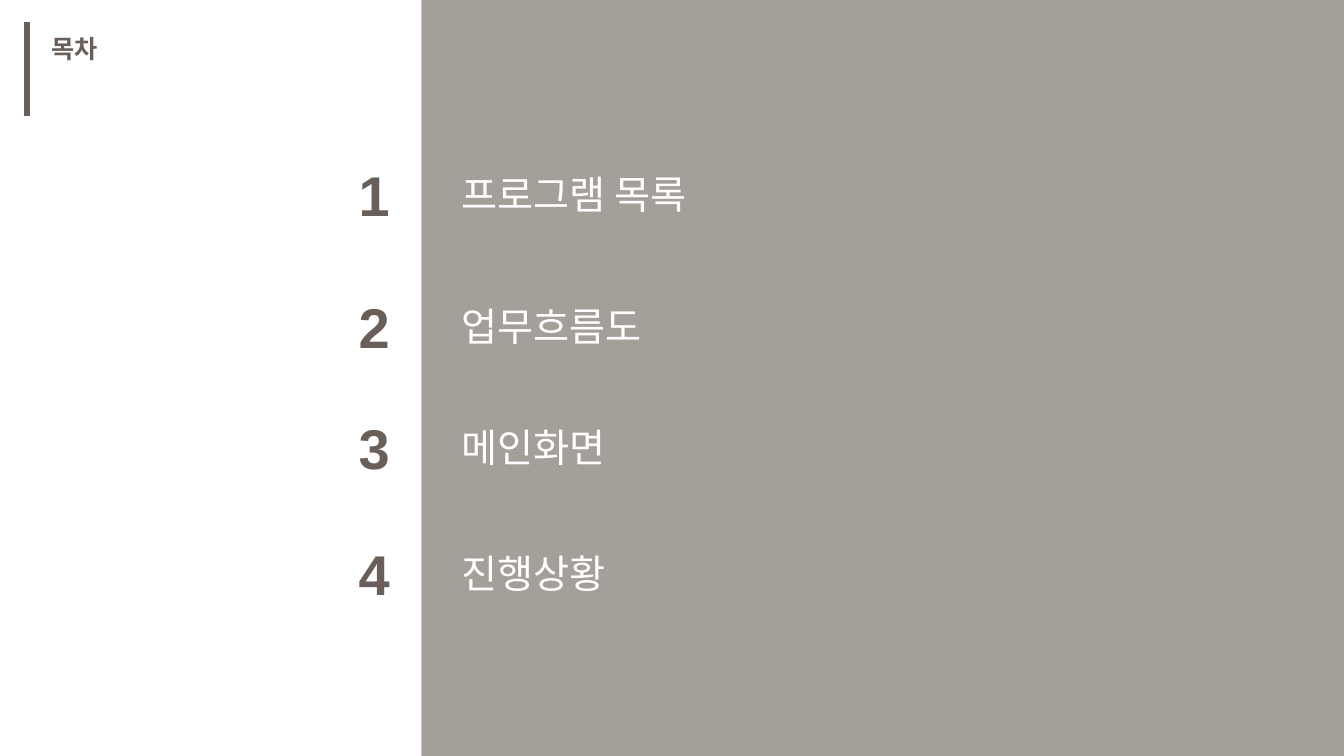
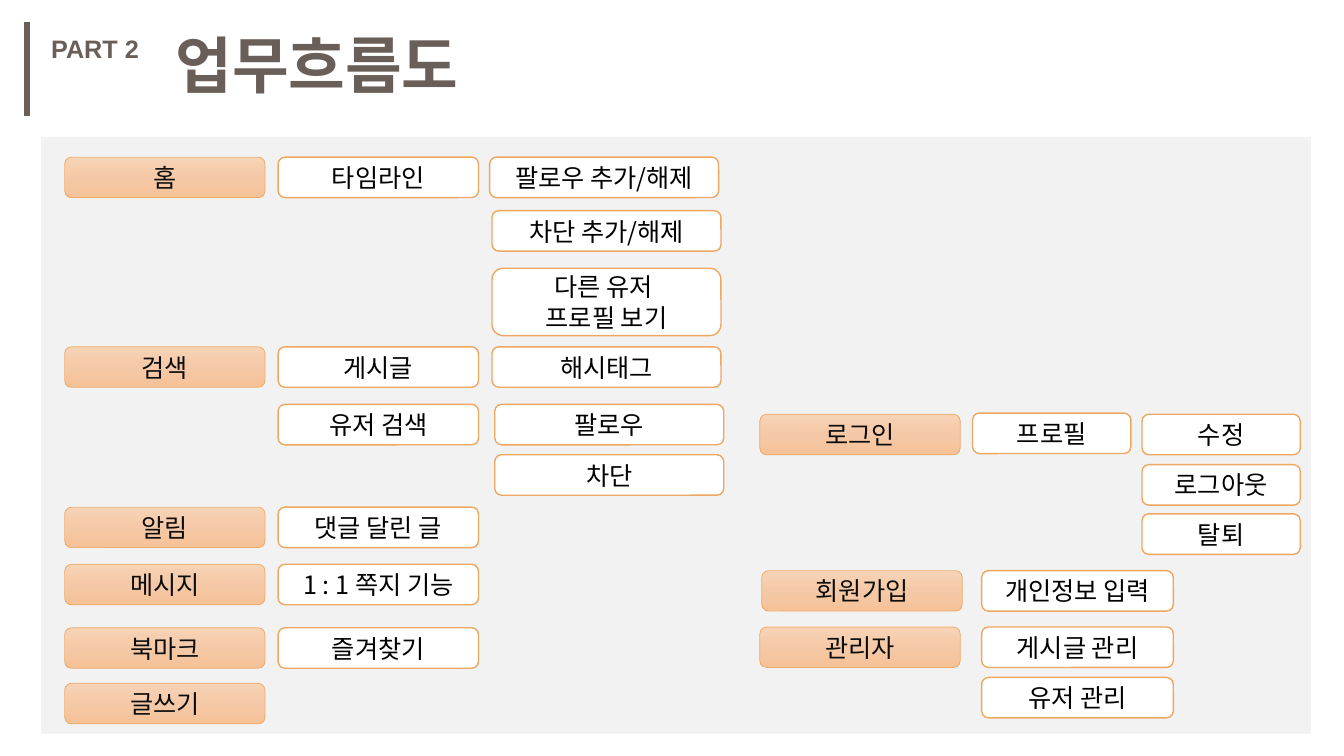
from copy import deepcopy
from dataclasses import dataclass

from lxml.etree import SubElement
from pptx import Presentation
from pptx.dml.color import RGBColor
from pptx.enum.shapes import MSO_CONNECTOR as Connector, MSO_SHAPE as Preset
from pptx.enum.text import MSO_ANCHOR as Anchor, MSO_AUTO_SIZE as AutoSize, PP_ALIGN as Align
from pptx.oxml.ns import qn
from pptx.util import Cm, Pt

COLORS = {
    "brown": "6A5F58", "white": "FFFFFF", "panel": "F2F2F2", "orange": "EDA762",
    "black": "000000", "ink": "0D0D0D",
}
START_GRADIENT = ((0, "F7D3B6"), (0.5, "F5C9A7"), (1, "F6C297"))
LATIN, KOREAN = "Arial", "Noto Sans CJK KR"
PAGE_WIDTH, PAGE_HEIGHT = 33.87, 19.05
NODE_HEIGHT = 1.02


@dataclass(frozen=True)
class Style:
    size: int
    color: str
    font: str = KOREAN
    bold: bool = False


@dataclass(frozen=True)
class Place:
    left: float
    top: float
    width: float
    height: float

    def lengths(self) -> tuple:
        return Cm(self.left), Cm(self.top), Cm(self.width), Cm(self.height)


@dataclass(frozen=True)
class Entry:
    top: float
    text: str


@dataclass(frozen=True)
class Column:
    left: float
    width: float
    nodes: tuple[Entry, ...]
    is_start: bool = False


TAG = Style(18, "brown", bold=True)
LATIN_TAG = Style(18, "brown", LATIN, True)
TITLE = Style(44, "brown", bold=True)
NUMBER = Style(40, "brown", LATIN, True)
CONTENT = Style(28, "white")
START_TEXT = Style(18, "ink")
NODE_TEXT = Style(18, "black")

CONTENTS = (
    Entry(3.91, "프로그램 목록"), Entry(7.24, "업무흐름도"),
    Entry(10.29, "메인화면"), Entry(13.46, "진행상황"),
)

FLOW = (
    Column(1.63, 5.05, (
        Entry(3.96, "홈"), Entry(8.74, "검색"), Entry(12.78, "알림"),
        Entry(14.22, "메시지"), Entry(15.82, "북마크"), Entry(17.22, "글쓰기"),
    ), True),
    Column(7.01, 5.05, (
        Entry(3.96, "타임라인"), Entry(8.74, "게시글"), Entry(10.19, "유저 검색"),
        Entry(12.78, "댓글 달린 글"), Entry(14.22, "1 : 1 쪽지 기능"), Entry(15.82, "즐겨찾기"),
    )),
    Column(12.34, 5.77, (Entry(3.96, "팔로우 추가/해제"),)),
    Column(12.4, 5.77, (
        Entry(5.31, "차단 추가/해제"), Entry(6.76, "다른 유저 \n프로필 보기"),
        Entry(8.74, "해시태그"),
    )),
    Column(12.47, 5.77, (Entry(10.19, "팔로우"), Entry(11.46, "차단"))),
    Column(19.15, 5.05, (Entry(10.44, "로그인"), Entry(15.8, "관리자")), True),
    Column(19.2, 5.05, (Entry(14.38, "회원가입"),), True),
    Column(24.51, 3.99, (Entry(10.41, "프로필"),)),
    Column(28.78, 3.99, (
        Entry(10.44, "수정"), Entry(11.71, "로그아웃"), Entry(12.95, "탈퇴"),
    )),
    Column(24.74, 4.83, (
        Entry(14.38, "개인정보 입력"), Entry(15.8, "게시글 관리"), Entry(17.07, "유저 관리"),
    )),
)


def rgb(name: str) -> RGBColor:
    return RGBColor.from_string(COLORS[name])


def write(frame, text: str, style: Style, align=Align.LEFT) -> None:
    frame.text = text
    for para in frame.paragraphs:
        para.alignment = align
        font = para.font
        font.name, font.size, font.bold = style.font, Pt(style.size), style.bold
        font.color.rgb = rgb(style.color)
        defaults = para._p.find(f".//{qn('a:defRPr')}")
        SubElement(defaults, qn("a:ea")).set("typeface", style.font)


def add_text(page, place: Place, text: str, style: Style, wrap: bool = False) -> None:
    frame = page.shapes.add_textbox(*place.lengths()).text_frame
    frame.word_wrap = wrap
    frame.auto_size = AutoSize.SHAPE_TO_FIT_TEXT
    write(frame, text, style)


def add_panel(page, place: Place, color: str):
    panel = page.shapes.add_shape(Preset.RECTANGLE, *place.lengths())
    panel.shadow.inherit = False
    panel.fill.solid()
    panel.fill.fore_color.rgb = rgb(color)
    panel.line.fill.background()
    return panel


def add_tag(page, text: str, width: float, style: Style) -> None:
    """Draw the upright bar and the small heading beside it."""
    bar = page.shapes.add_connector(Connector.STRAIGHT, Cm(0.69), Cm(0.56), Cm(0.69), Cm(2.92))
    bar.line.color.rgb = rgb("brown")
    bar.line.width = Pt(4.5)
    SubElement(bar._element.spPr, qn("a:effectLst"))
    add_text(page, Place(1.04, 0.71, width, 1.02), text, style)


def fill_start(shape) -> None:
    """Apply the three-stop gradient, light at the top."""
    shape.fill.gradient()
    shape.fill.gradient_angle = 270
    stop_list = shape._element.spPr.find(f".//{qn('a:gsLst')}")
    stop_list.append(deepcopy(stop_list[0]))
    for stop, (position, color) in zip(shape.fill.gradient_stops, START_GRADIENT):
        stop.position = position
        stop.color.rgb = RGBColor.from_string(color)


def add_node(page, column: Column, entry: Entry) -> None:
    height = 1.7 if "\n" in entry.text else NODE_HEIGHT
    place = Place(column.left, entry.top, column.width, height)
    node = page.shapes.add_shape(Preset.ROUNDED_RECTANGLE, *place.lengths())
    node.shadow.inherit = False
    if column.is_start:
        fill_start(node)
    else:
        node.fill.solid()
        node.fill.fore_color.rgb = rgb("white")
    node.line.color.rgb = rgb("orange")
    node.line.width = Pt(0.5 if column.is_start else 1)
    node.text_frame.vertical_anchor = Anchor.MIDDLE
    write(node.text_frame, entry.text, START_TEXT if column.is_start else NODE_TEXT, Align.CENTER)


def build_contents(page) -> None:
    left = 10.62
    panel = add_panel(page, Place(left, 0, PAGE_WIDTH - left, PAGE_HEIGHT), "brown")
    color = panel._element.spPr.find(f"{qn('a:solidFill')}/{qn('a:srgbClr')}")
    SubElement(color, qn("a:alpha")).set("val", "60000")
    add_tag(page, "목차", 1.78, TAG)
    for number, entry in enumerate(CONTENTS, 1):
        add_text(page, Place(8.79, entry.top, 1.3, 1.96), str(number), NUMBER)
        add_text(page, Place(11.38, entry.top + 0.25, 9.68, 1.45), entry.text, CONTENT, True)


def build_flow(page) -> None:
    add_panel(page, Place(1.04, 3.45, 32, 15.04), "panel")
    add_tag(page, "PART 2", 2.74, LATIN_TAG)
    add_text(page, Place(4.17, 0.56, 8.2, 2.13), "업무흐름도", TITLE)
    for column in FLOW:
        for entry in column.nodes:
            add_node(page, column, entry)


def main() -> None:
    deck = Presentation()
    deck.slide_width, deck.slide_height = Cm(PAGE_WIDTH), Cm(PAGE_HEIGHT)
    for build in (build_contents, build_flow):
        build(deck.slides.add_slide(deck.slide_layouts[6]))
    deck.save("out.pptx")


if __name__ == "__main__":
    main()
